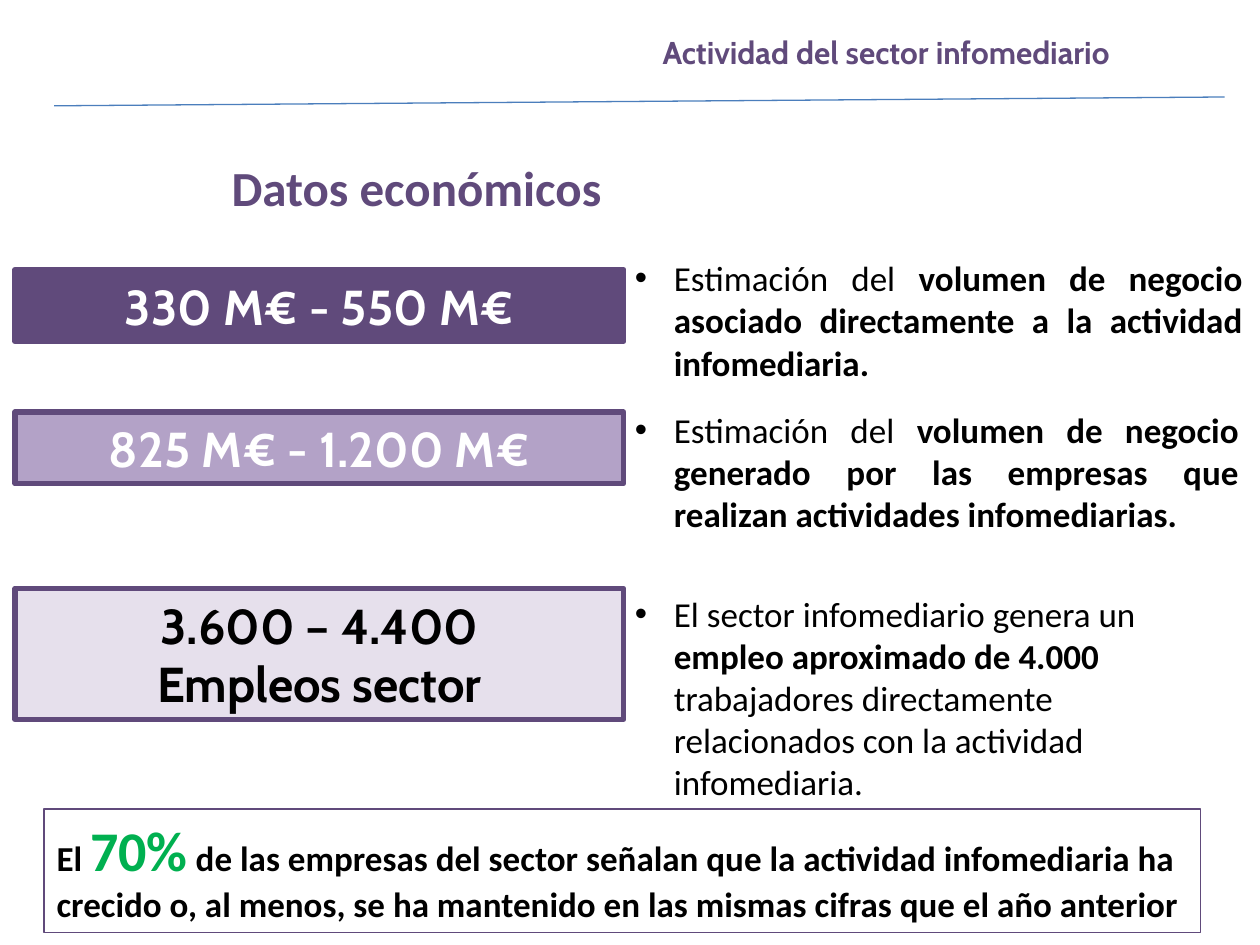
"""Build the slide on the economic data of the infomediary sector."""
import lxml.etree
import pptx
import pptx.dml.color
import pptx.enum.shapes
import pptx.enum.text
import pptx.oxml.ns
import pptx.util

RGB = pptx.dml.color.RGBColor
PURPLE = RGB(0x60, 0x4A, 0x7B)
LILAC = RGB(0xB3, 0xA2, 0xC7)
PALE = RGB(0xE6, 0xE0, 0xEC)
BLUE = RGB(0x4B, 0x7E, 0xBC)
GREEN = RGB(0x00, 0xB0, 0x50)
WHITE = RGB(0xFF, 0xFF, 0xFF)
BLACK = RGB(0, 0, 0)
ALIGN = pptx.enum.text.PP_ALIGN
ANCHOR = pptx.enum.text.MSO_ANCHOR
Inches = pptx.util.Inches

BODY = {"name": "Calibri", "size": 20, "color": BLACK, "bold": False}
BOLD = {**BODY, "bold": True}
HEADER = {"name": "Cabin", "size": 18, "color": PURPLE, "bold": True}
HEADING = {"name": "Calibri", "size": 28, "color": PURPLE, "bold": True}
FIGURE = {"name": "Cabin", "size": 28, "color": WHITE, "bold": True}
SHARE = {**BOLD, "size": 32, "color": GREEN}

FIGURE_LEFT, FIGURE_WIDTH = 0.12, 4.83
NOTE_LEFT, INDENT = 4.94, 0.31

TITLES = [
    ((1.74, 1.2, 3.42, 0.57), "Datos económicos", HEADING, ALIGN.JUSTIFY, True),
    ((5.16, 0.21, 4.38, 0.4), "Actividad del sector infomediario", HEADER, ALIGN.LEFT, False),
]
ROWS = [
    {"figure": ["330 M€ - 550 M€"], "fill": PURPLE, "color": WHITE,
     "box": (2.14, 0.57), "note_box": (1.99, 5.02, 1.11), "align": ALIGN.JUSTIFY,
     "note": [("Estimación del ", BODY),
              ("volumen de negocio asociado directamente a la actividad infomediaria.", BOLD)]},
    {"figure": ["825 M€ - 1.200 M€"], "fill": LILAC, "color": WHITE,
     "box": (3.27, 0.57), "note_box": (3.19, 4.99, 1.11), "align": ALIGN.JUSTIFY,
     "note": [("Estimación del ", BODY),
              ("volumen de negocio generado por las empresas que realizan "
               "actividades infomediarias.", BOLD)]},
    {"figure": ["3.600 – 4.400", "Empleos sector"], "fill": PALE, "color": BLACK,
     "box": (4.67, 1.04), "note_box": (4.65, 4.87, 1.78), "align": ALIGN.LEFT,
     "note": [("El sector infomediario genera un ", BODY),
              ("empleo aproximado de 4.000 ", BOLD),
              ("trabajadores directamente relacionados con la actividad infomediaria.", BODY)]},
]
GROWTH_BOX = (0.35, 6.42, 9.18, 0.98)
GROWTH = [
    ("El ", BOLD), ("70%", SHARE),
    (" de las empresas del sector señalan que la actividad infomediaria ha crecido o, "
     "al menos, se ha mantenido en las mismas cifras que el año anterior", BOLD),
]


def add_run(p, text, style):
    r = p.add_run()
    r.text = text
    values = {**style, "size": pptx.util.Pt(style["size"])}
    r.font.color.rgb = values.pop("color")
    for key, value in values.items():
        setattr(r.font, key, value)


def write(sp, runs, align, anchor=ANCHOR.TOP, wrap=True):
    tf = sp.text_frame
    tf.word_wrap, tf.vertical_anchor = wrap, anchor
    p = tf.paragraphs[0]
    p.alignment = align
    for text, style in runs:
        add_run(p, text, style)
    return p


def add_text(s, box, runs, align, wrap=True):
    return write(s.shapes.add_textbox(*map(Inches, box)), runs, align, wrap=wrap)


def add_bullet(p):
    pPr = p._p.get_or_add_pPr()
    pPr.set("marL", str(Inches(INDENT)))
    pPr.set("indent", str(-Inches(INDENT)))
    for tag, key, value in (("a:buFont", "typeface", "Arial"), ("a:buChar", "char", "•")):
        lxml.etree.SubElement(pPr, pptx.oxml.ns.qn(tag)).set(key, value)


def add_box(s, box, line_width, fill=None):
    sp = s.shapes.add_shape(pptx.enum.shapes.MSO_SHAPE.RECTANGLE, *map(Inches, box))
    sp.shadow.inherit = False
    if fill is None:
        sp.fill.background()
    else:
        sp.fill.solid()
        sp.fill.fore_color.rgb = fill
    sp.line.color.rgb = PURPLE
    sp.line.width = pptx.util.Pt(line_width)
    return sp


def add_rule(s, *ends):
    line = s.shapes.add_connector(pptx.enum.shapes.MSO_CONNECTOR.STRAIGHT, *map(Inches, ends))
    line.line.color.rgb = BLUE
    line.line.width = pptx.util.Pt(0.75)
    lxml.etree.SubElement(line._element.spPr, pptx.oxml.ns.qn("a:effectLst"))


def add_row(s, row):
    top, height = row["box"]
    sp = add_box(s, (FIGURE_LEFT, top, FIGURE_WIDTH, height), 3, row["fill"])
    style = {**FIGURE, "color": row["color"]}
    first, *rest = row["figure"]
    p = write(sp, [(first, style)], ALIGN.CENTER, ANCHOR.MIDDLE)
    for text in rest:
        p.add_line_break()
        add_run(p, text, style)
    add_bullet(add_text(s, (NOTE_LEFT, *row["note_box"]), row["note"], row["align"]))


def main():
    prs = pptx.Presentation()
    prs.slide_width, prs.slide_height = Inches(10), Inches(7.5)
    s = prs.slides.add_slide(prs.slide_layouts[6])
    add_rule(s, 0.43, 0.84, 9.72, 0.77)
    for box, text, style, align, wrap in TITLES:
        add_text(s, box, [(text, style)], align, wrap)
    for row in ROWS:
        add_row(s, row)
    write(add_box(s, GROWTH_BOX, 0.75), GROWTH, ALIGN.LEFT)
    prs.save("out.pptx")


if __name__ == "__main__":
    main()
